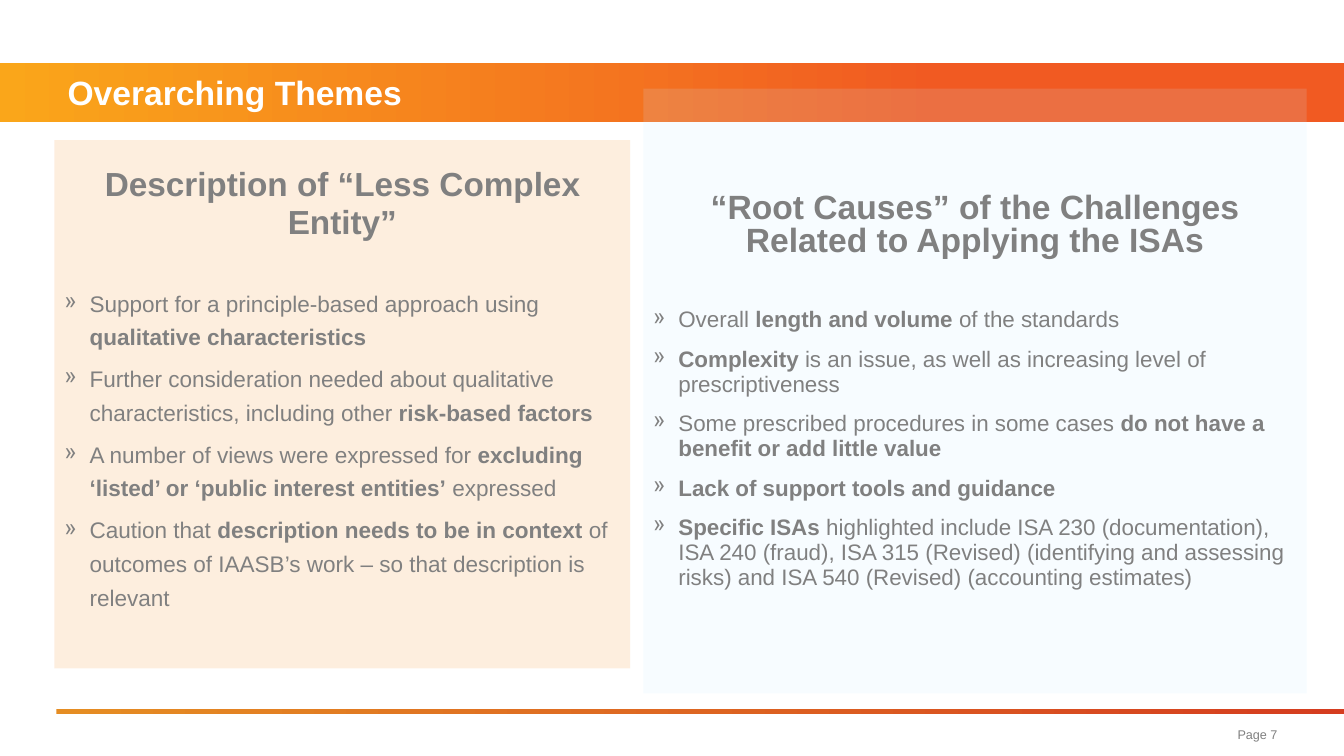
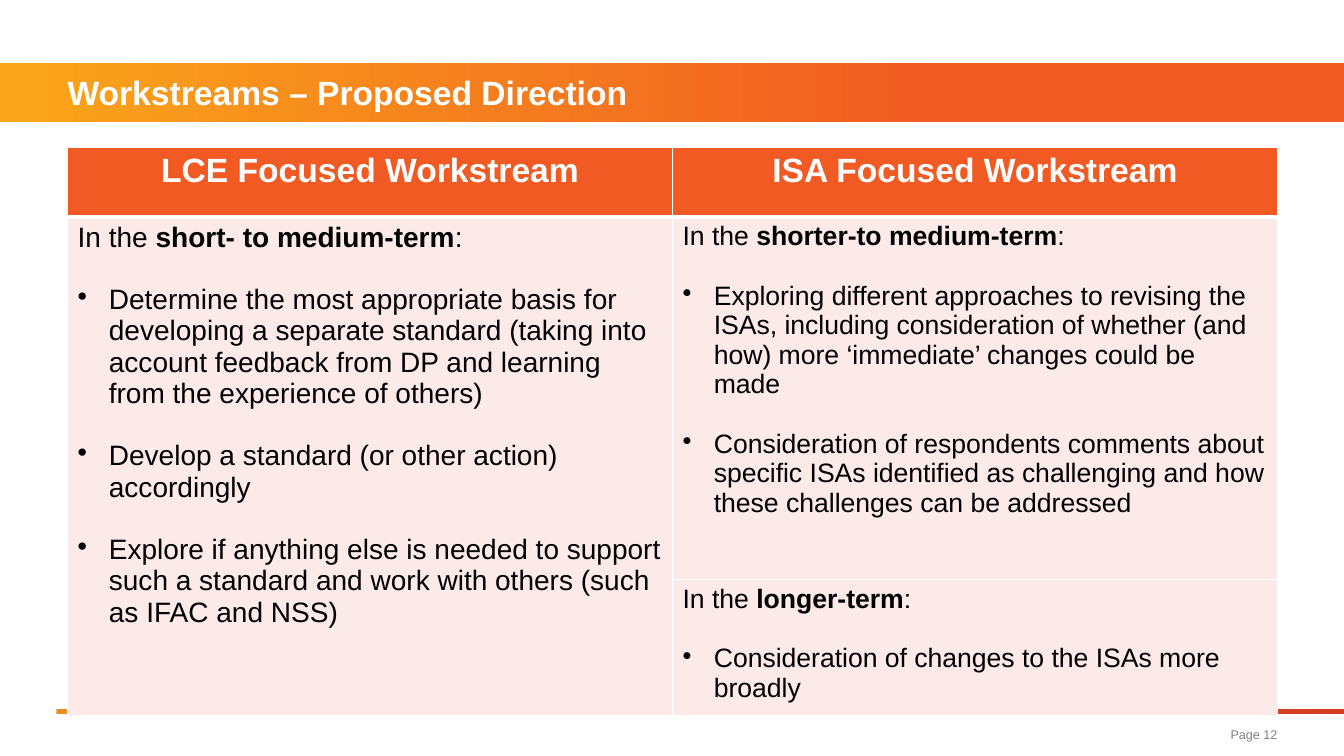
from lxml import etree
from pptx import Presentation
from pptx.dml.color import RGBColor
from pptx.enum.shapes import MSO_SHAPE as SHAPE
from pptx.enum.text import MSO_ANCHOR as ANCHOR, PP_ALIGN as ALIGN
from pptx.oxml import parse_xml
from pptx.oxml.ns import nsdecls, qn
from pptx.util import Inches, Pt

FONT = "Arial"
WHITE, BLACK, GREY = "FFFFFF", "000000", "808080"
AMBER, ORANGE, PINK = "FAA61A", "F15A22", "FCEAE8"


def paint(fill, color, end=None, end_at=1, alpha=None):
    """Fill with one colour, or with a left-to-right gradient towards end."""
    if end:
        fill.gradient()
        fill.gradient_angle = 0
        for stop, value, at in zip(fill.gradient_stops, (color, end), (0, end_at)):
            stop.color.rgb = RGBColor.from_string(value)
            stop.position = at
        return
    fill.solid()
    fill.fore_color.rgb = RGBColor.from_string(color)
    if alpha:
        clr = fill._xPr.find(qn("a:solidFill"))[0]
        etree.SubElement(clr, qn("a:alpha")).set("val", str(alpha * 1000))


def write(tf, text, size=16, color=GREY, bold=False, align=ALIGN.LEFT,
          line=None, before=0, bullet=None, indent=0.25):
    """Add a paragraph; parts between ** marks are bold."""
    p = tf.paragraphs[0]
    if p.runs:
        p = tf.add_paragraph()
    if bullet:
        pPr = p._p.get_or_add_pPr()
        pPr.set("marL", str(Inches(indent)))
        pPr.set("indent", str(-Inches(indent)))
        etree.SubElement(pPr, qn("a:buChar")).set("char", bullet)
    p.alignment = align
    p.space_before = Pt(before)
    if line:
        p.line_spacing = Pt(line)
    for i, part in enumerate(text.split("**")):
        if part:
            r = p.add_run()
            r.text = part
            r.font.name = FONT
            r.font.size = Pt(size)
            r.font.bold = bold or i % 2 == 1
            r.font.color.rgb = RGBColor.from_string(color)


prs = Presentation()
prs.slide_width, prs.slide_height = Inches(13.33), Inches(7.5)

# Shared frame: title band, footer bar, title and page number
slides = []
for title, page in [("Overarching Themes", 7), ("Workstreams – Proposed Direction", 12)]:
    s = prs.slides.add_slide(prs.slide_layouts[6])
    slides.append(s)
    for x, y, w, h, start, end, end_at in [
        (0, 0.62, 13.33, 0.59, AMBER, ORANGE, 0.7),
        (0.56, 7.03, 12.77, 0.05, "E58D23", "D53D20", 1),
    ]:
        bar = s.shapes.add_shape(SHAPE.RECTANGLE, Inches(x), Inches(y), Inches(w), Inches(h))
        bar.shadow.inherit = False
        bar.line.fill.background()
        paint(bar.fill, start, end, end_at)
    for text, x, y, w, h, fmt in [
        (title, 0.67, 0.62, 12, 0.59, dict(size=24, color=WHITE, bold=True)),
        (f"Page {page}", 8.65, 7.12, 4.02, 0.33, dict(size=9, align=ALIGN.RIGHT)),
    ]:
        tf = s.shapes.add_textbox(Inches(x), Inches(y), Inches(w), Inches(h)).text_frame
        tf.word_wrap = True
        tf.vertical_anchor = ANCHOR.MIDDLE
        tf.margin_left = tf.margin_right = tf.margin_top = tf.margin_bottom = 0
        write(tf, text, **fmt)
themes, workstreams = slides

# Themes: two tinted panels, each with a heading and bullets
panels = [
    dict(at=(0.54, 1.39, 5.71, 5.24), tint="F78D28", top=0.25,
         head="Description of “Less Complex Entity”", head_size=23.8, head_line=27,
         size=16.1, line=24, gap=30, before=6,
         items=["Support for a principle-based approach using **qualitative characteristics**",
                "Further consideration needed about qualitative characteristics, "
                "including other **risk-based factors**",
                "A number of views were expressed for **excluding ‘listed’ or "
                "‘public interest entities’** expressed",
                "Caution that **description needs to be in context **of outcomes of "
                "IAASB’s work – so that description is relevant"]),
    dict(at=(6.38, 0.88, 6.58, 6), tint="CCECFF", top=1.03,
         head="“Root Causes” of the Challenges Related to Applying the ISAs",
         head_size=24, head_line=24, size=16, line=18, gap=34, before=10,
         items=["Overall **length and volume **of the standards",
                "**Complexity** is an issue, as well as increasing level of prescriptiveness",
                "Some prescribed procedures in some cases **do not have a benefit "
                "or add little value**",
                "**Lack of support tools and guidance**",
                "**Specific ISAs **highlighted include ISA 230 (documentation), "
                "ISA 240 (fraud), ISA 315 (Revised) (identifying and assessing risks) "
                "and ISA 540 (Revised) (accounting estimates)"]),
]
for d in panels:
    sp = themes.shapes.add_shape(SHAPE.RECTANGLE, *map(Inches, d["at"]))
    sp.shadow.inherit = False
    sp.line.fill.background()
    paint(sp.fill, d["tint"], alpha=15)
    tf = sp.text_frame
    tf.word_wrap = True
    tf.vertical_anchor = ANCHOR.TOP
    tf.margin_top = Inches(d["top"])
    write(tf, d["head"], size=d["head_size"], bold=True, align=ALIGN.CENTER,
          line=d["head_line"])
    for i, item in enumerate(d["items"]):
        write(tf, item, size=d["size"], line=d["line"], bullet="»",
              before=d["before"] if i else d["gap"])

# Workstreams: table with a header row and a tall left cell
table = workstreams.shapes.add_table(
    3, 2, Inches(0.67), Inches(1.46), Inches(12), Inches(5.34)).table
for col in table.columns:
    col.width = Inches(6)
for row, height in zip(table.rows, (0.69, 3.6, 1.05)):
    row.height = Inches(height)
table.horz_banding = False

for r, row in enumerate(table.rows):
    for cell in row.cells:
        tcPr = cell._tc.get_or_add_tcPr()
        for side in "LRTB":
            thick = (r, side) in [(0, "B"), (1, "T")]
            tcPr.append(parse_xml(
                f'<a:ln{side} {nsdecls("a")} w="{Pt(3 if thick else 1)}"><a:solidFill>'
                f'<a:srgbClr val="{WHITE}"/></a:solidFill></a:ln{side}>'))
        paint(cell.fill, PINK if r else ORANGE)
table.cell(1, 0).merge(table.cell(2, 0))

for c, name in enumerate(["LCE", "ISA"]):
    write(table.cell(0, c).text_frame, f"{name} Focused Workstream", size=24,
          color=WHITE, bold=True, align=ALIGN.CENTER)

for r, c, size, term, items in [
    (1, 0, 20, "short- to medium-term", [
        "Determine the most appropriate basis for developing a separate standard "
        "(taking into account feedback from DP and learning from the experience of others)",
        "Develop a standard (or other action) accordingly",
        "Explore if anything else is needed to support such a standard and work with "
        "others (such as IFAC and NSS)"]),
    (1, 1, 19, "shorter-to medium-term", [
        "Exploring different approaches to revising the ISAs, including consideration of "
        "whether (and how) more ‘immediate’ changes could be made",
        "Consideration of respondents comments about specific ISAs identified as "
        "challenging and how these challenges can be addressed"]),
    (2, 1, 19, "longer-term", ["Consideration of changes to the ISAs more broadly"]),
]:
    tf = table.cell(r, c).text_frame
    write(tf, f"In the **{term}**:", size=size, color=BLACK)
    for item in items:
        write(tf, item, size=size, color=BLACK, bullet="•", indent=0.31,
              before=round(size * 1.12, 1))

prs.save("out.pptx")
